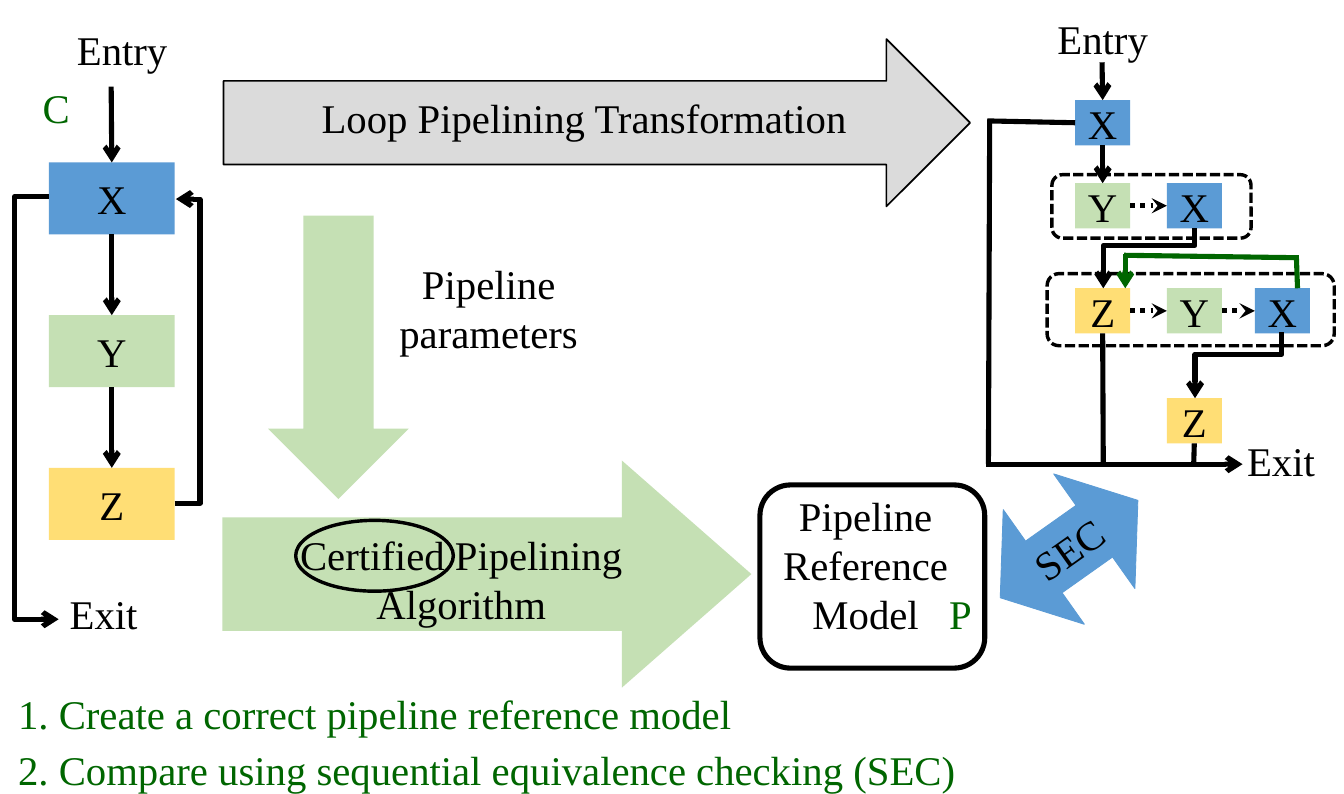
import pptx
import pptx.util
import pptx.dml.color
import pptx.enum.dml
import pptx.enum.shapes
import pptx.enum.text
import pptx.oxml.ns
from lxml import etree

In, Pt = pptx.util.Inches, pptx.util.Pt
RGB = pptx.dml.color.RGBColor
SHAPE = pptx.enum.shapes.MSO_SHAPE
LINK = pptx.enum.shapes.MSO_CONNECTOR
DASH = pptx.enum.dml.MSO_LINE
ALIGN = pptx.enum.text.PP_ALIGN
ANCHOR = pptx.enum.text.MSO_ANCHOR
qn = pptx.oxml.ns.qn

BLACK = RGB(0x00, 0x00, 0x00)
DARK_GREEN = RGB(0x00, 0x66, 0x00)
GREY = RGB(0xDB, 0xDB, 0xDB)
BLUE = RGB(0x5B, 0x9B, 0xD5)
GREEN = RGB(0xC5, 0xE0, 0xB4)
YELLOW = RGB(0xFF, 0xDE, 0x75)
STAGE_FILL = {"X": BLUE, "Y": GREEN, "Z": YELLOW}
TIGHT, LOOSE = (0.05, 0.02), (0.1, 0.05)
TOP, LEFT, BOTTOM, RIGHT = range(4)

# Stages of the source loop: one column, equal row pitch
LOOP_STAGES = ["X", "Y", "Z"]
LOOP_LEFT, LOOP_TOP, LOOP_PITCH, LOOP_SIZE = 0.4, 1.33, 1.25, (1.03, 0.59)

# Stages of the pipelined loop: (column, row) on a grid
PIPE_COLS, PIPE_ROWS, PIPE_SIZE = [8.8, 9.55, 10.27], [0.82, 1.5, 2.36, 3.26], (0.45, 0.37)
PIPE_STAGES = {(0, 0): "X", (0, 1): "Y", (1, 1): "X", (0, 2): "Z",
               (1, 2): "Y", (2, 2): "X", (1, 3): "Z"}

# box, lines, colour, alignment, insets, wrap, anchor
LABELS = [
    ((0.05, 6.05, 7.94, 0.5), ["2. Compare using sequential equivalence checking (SEC)"],
     DARK_GREEN, ALIGN.LEFT, LOOSE, False, ANCHOR.TOP),
    ((6.11, 3.97, 1.95, 1.31), ["Pipeline", "Reference", "Model"],
     BLACK, ALIGN.CENTER, LOOSE, True, ANCHOR.TOP),
    ((3.15, 2.21, 1.7, 0.62), ["Pipeline parameters"],
     BLACK, ALIGN.CENTER, LOOSE, True, ANCHOR.MIDDLE),
    ((0.52, 0.18, 0.96, 0.45), ["Entry"], BLACK, ALIGN.CENTER, TIGHT, True, ANCHOR.TOP),
    ((0.52, 4.8, 1.62, 0.45), ["Exit"], BLACK, ALIGN.LEFT, TIGHT, True, ANCHOR.TOP),
    ((8.43, 0.09, 1.19, 0.45), ["Entry"], BLACK, ALIGN.CENTER, TIGHT, True, ANCHOR.TOP),
    ((10.03, 3.55, 0.91, 0.45), ["Exit"], BLACK, ALIGN.CENTER, TIGHT, True, ANCHOR.TOP),
    ((0.25, 0.63, 0.43, 0.5), ["C"], DARK_GREEN, ALIGN.LEFT, LOOSE, False, ANCHOR.TOP),
    ((7.67, 4.77, 0.39, 0.5), ["P"], DARK_GREEN, ALIGN.LEFT, LOOSE, False, ANCHOR.TOP),
]


def write(s, lines, color=BLACK, align=ALIGN.CENTER, inset=LOOSE, wrap=True,
          anchor=ANCHOR.MIDDLE):
    tf = s.text_frame
    x, y = map(In, inset)
    for name, value in {"margin_left": x, "margin_right": x, "margin_top": y,
                        "margin_bottom": y, "word_wrap": wrap,
                        "vertical_anchor": anchor}.items():
        setattr(tf, name, value)
    for i, line in enumerate(lines):
        p = tf.add_paragraph() if i else tf.paragraphs[0]
        p.alignment = align
        r = p.add_run()
        r.text = line
        for name, value in {"name": "Times New Roman", "size": Pt(24)}.items():
            setattr(r.font, name, value)
        r.font.color.rgb = color


def label(shapes, box, lines, *style):
    s = shapes.add_textbox(*map(In, box))
    write(s, lines, *style)
    return s


def shape(shapes, kind, box, fill=None, line=None, width=1, dash=None, adj=(), rot=0):
    s = shapes.add_shape(kind, *map(In, box))
    s.shadow.inherit = False
    s.rotation = rot
    for i, value in enumerate(adj):
        s.adjustments[i] = value
    for fmt, color in ((s.fill, fill), (s.line.fill, line)):
        if color is None:
            fmt.background()
        else:
            fmt.solid()
            fmt.fore_color.rgb = color
    if line is not None:
        s.line.width = Pt(width)
        s.line.dash_style = dash
    return s


def stage(shapes, name, left, top, size):
    s = shape(shapes, SHAPE.RECTANGLE, (left, top, *size), STAGE_FILL[name])
    write(s, [name], inset=TIGHT)
    return s


def connect(shapes, start, end, head="arrow", color=BLACK, dash=None, kind=LINK.STRAIGHT):
    """Line between two ends, each a point or a (shape, side) pair."""
    points = [(0, 0) if hasattr(e[0], "shape_id") else e for e in (start, end)]
    c = shapes.add_connector(kind, *(In(v) for pt in points for v in pt))
    for e, join in ((start, c.begin_connect), (end, c.end_connect)):
        if hasattr(e[0], "shape_id"):
            join(*e)
    c.line.color.rgb = color
    c.line.width = Pt(3)
    c.line.dash_style = dash
    if head:
        etree.SubElement(c.line._get_or_add_ln(), qn("a:tailEnd"), type=head)
    etree.SubElement(c._element.spPr, qn("a:effectLst"))
    return c


def elbow(shapes, start, end, bend, vertical=False):
    """Bent arrow turning at x = bend, or at y = bend when it runs down then left."""
    c = connect(shapes, start, end, kind=LINK.ELBOW)
    (x1, y1), (x2, y2) = start, end
    share = (bend - y1) / (y2 - y1) if vertical else (bend - x1) / (x2 - x1)
    if vertical:
        w, h = y2 - y1, x1 - x2
        xfrm = c._element.spPr.find(qn("a:xfrm"))
        xfrm.attrib.pop("flipH", None)
        xfrm.set("rot", str(90 * 60000))
        c.left, c.top = In((x1 + x2 - w) / 2), In((y1 + y2 - h) / 2)
        c.width, c.height = In(w), In(h)
    geom = c._element.spPr.find(qn("a:prstGeom"))
    guides = geom.find(qn("a:avLst"))
    if guides is None:
        guides = etree.SubElement(geom, qn("a:avLst"))
    etree.SubElement(guides, qn("a:gd"), name="adj1", fmla=f"val {round(share * 100000)}")


def draw_steps(shapes):
    s = shape(shapes, SHAPE.RIGHT_ARROW, (1.83, 0.32, 6.11, 1.37), GREY, BLACK)
    s = shape(shapes, SHAPE.RECTANGLE, (2.42, 0.7, 4.72, 0.52), GREY)
    write(s, ["Loop Pipelining Transformation"])
    s = label(shapes, (0.05, 5.59, 10.87, 0.5), ["1. Create a correct pipeline reference model"],
              DARK_GREEN, ALIGN.LEFT, LOOSE, True, ANCHOR.TOP)
    pPr = s.text_frame.paragraphs[0]._p.get_or_add_pPr()
    pPr.set("marL", str(In(0.38)))
    pPr.set("indent", str(-In(0.38)))
    shape(shapes, SHAPE.ROUNDED_RECTANGLE, (6.22, 3.97, 1.84, 1.5), line=BLACK, width=3)
    s = shape(shapes, SHAPE.LEFT_RIGHT_ARROW, (8.06, 3.92, 1.38, 1.15), BLUE, BLUE, 0.5,
              adj=(0.45, 0.38), rot=324.7)
    write(s, ["SEC"])
    shape(shapes, SHAPE.RIGHT_ARROW, (1.61, 2.35, 2.32, 1.15), GREEN, rot=90)
    algorithm = shapes.add_group_shape().shapes
    shape(algorithm, SHAPE.RIGHT_ARROW, (1.82, 3.77, 4.33, 1.86), GREEN, adj=(0.5, 0.57))
    s = shape(algorithm, SHAPE.RECTANGLE, (1.92, 4.41, 3.71, 0.65), GREEN)
    write(s, ["Certified Pipelining Algorithm"])
    shape(algorithm, SHAPE.OVAL, (2.42, 4.26, 1.29, 0.58), line=BLACK, width=2)


def draw_loop(shapes):
    x, y, z = [stage(shapes, name, LOOP_LEFT, LOOP_TOP + i * LOOP_PITCH, LOOP_SIZE)
               for i, name in enumerate(LOOP_STAGES)]
    connect(shapes, (0.91, 0.71), (x, TOP))
    for a, b in ((x, y), (y, z)):
        connect(shapes, (a, BOTTOM), (b, TOP))
    elbow(shapes, (1.43, 4.12), (1.44, 1.63), 1.64)
    elbow(shapes, (0.4, 1.61), (0.48, 5.07), 0.12)


def draw_pipeline(shapes):
    at = {(c, r): stage(shapes, name, PIPE_COLS[c], PIPE_ROWS[r], PIPE_SIZE)
          for (c, r), name in PIPE_STAGES.items()}
    for box in ((8.61, 1.43, 1.63, 0.52), (8.57, 2.24, 2.35, 0.59)):
        shape(shapes, SHAPE.ROUNDED_RECTANGLE, box, line=BLACK, width=2, dash=DASH.SQUARE_DOT)
    connect(shapes, (9.02, 0.51), (at[0, 0], TOP))
    connect(shapes, (at[0, 0], BOTTOM), (at[0, 1], TOP))
    for c, r in at:
        if r in (1, 2) and (c + 1, r) in at:
            connect(shapes, (at[c, r], RIGHT), (at[c + 1, r], LEFT), "stealth",
                    dash=DASH.ROUND_DOT)
    for start, end in (((8.08, 0.99), (at[0, 0], LEFT)), ((8.1, 1), (8.09, 3.8)),
                       ((8.07, 3.8), (9.98, 3.8)), ((at[0, 2], BOTTOM), (9.03, 3.81)),
                       ((at[1, 3], BOTTOM), (9.77, 3.81))):
        connect(shapes, start, end, None)
    connect(shapes, (9.96, 3.8), (10.17, 3.8))
    elbow(shapes, (10.49, 2.72), (9.78, 3.26), 2.9, vertical=True)
    elbow(shapes, (9.78, 1.87), (9.03, 2.36), 2.01, vertical=True)
    for start, end, head in (((9.21, 2.08), (9.21, 2.36), "arrow"),
                             ((9.2, 2.09), (10.63, 2.11), None),
                             ((10.61, 2.09), (10.62, 2.36), None)):
        connect(shapes, start, end, head, DARK_GREEN)


def main():
    prs = pptx.Presentation()
    prs.slide_width, prs.slide_height = In(11), In(6.5)
    shapes = prs.slides.add_slide(prs.slide_layouts[6]).shapes
    draw_steps(shapes)
    draw_loop(shapes)
    draw_pipeline(shapes)
    for item in LABELS:
        label(shapes, *item)
    prs.save("out.pptx")


if __name__ == "__main__":
    main()
